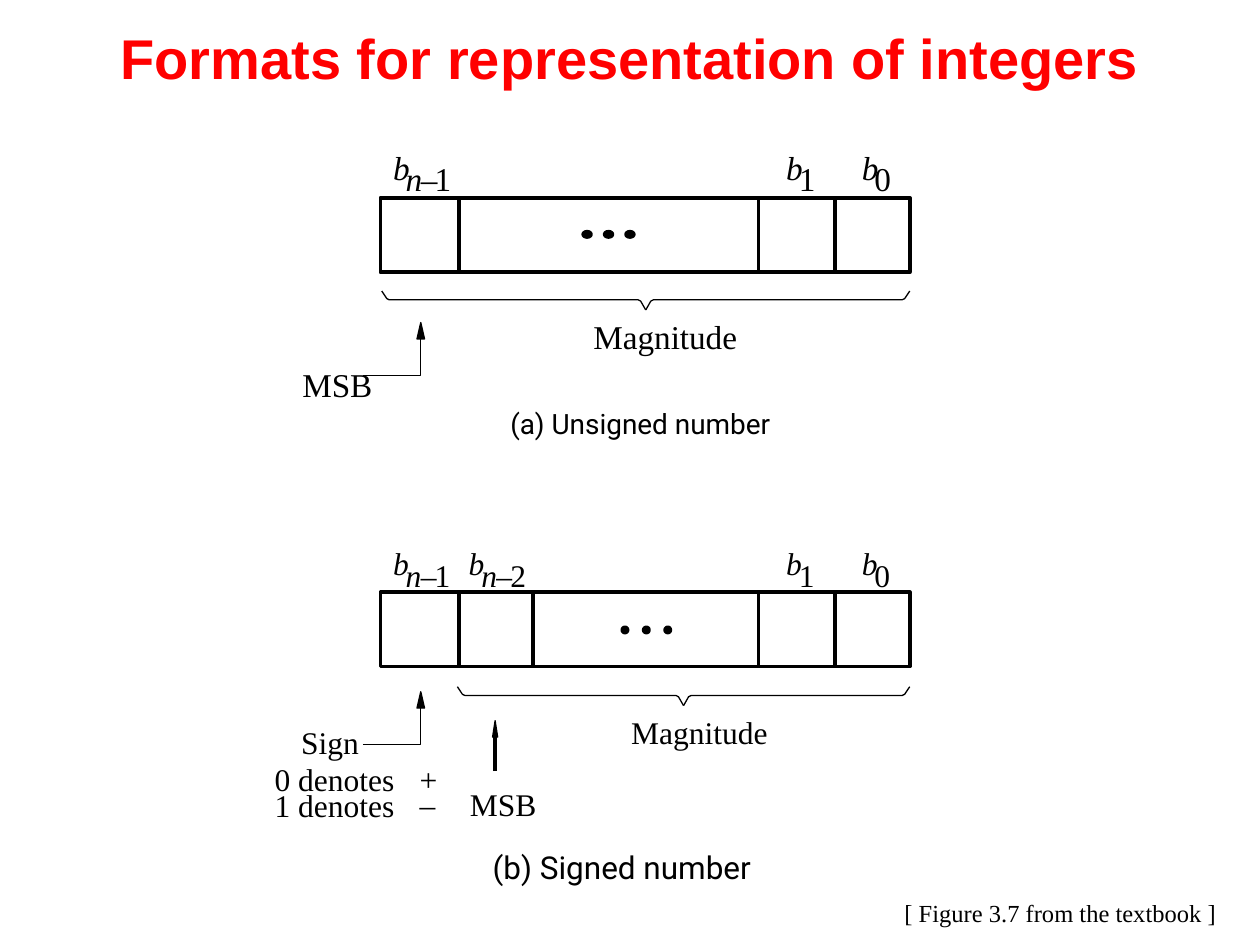
from itertools import pairwise

from lxml import etree
from pptx import Presentation
from pptx.dml.color import RGBColor
from pptx.enum.shapes import MSO_CONNECTOR, MSO_SHAPE
from pptx.enum.text import MSO_ANCHOR, MSO_AUTO_SIZE, PP_ALIGN
from pptx.oxml.ns import qn
from pptx.util import Inches, Pt

RECTANGLE = MSO_SHAPE.RECTANGLE
OVAL = MSO_SHAPE.OVAL
STRAIGHT = MSO_CONNECTOR.STRAIGHT
CENTER = PP_ALIGN.CENTER
MIDDLE = MSO_ANCHOR.MIDDLE
GROW = MSO_AUTO_SIZE.SHAPE_TO_FIT_TEXT
FIXED = MSO_AUTO_SIZE.NONE
BLACK = "000000"
RED = "FF0000"
SERIF = "Times New Roman"
SANS = "Roboto"
MARGINS = ("margin_left", "margin_top", "margin_right", "margin_bottom")


def color(hex_value):
    return RGBColor.from_string(hex_value)


def write(box, text, hex_value=BLACK, **font_values):
    span = box.text_frame.paragraphs[0].add_run()
    span.text = text
    span.font.color.rgb = color(hex_value)
    for name, value in font_values.items():
        setattr(span.font, name, value)


def style(shape, line_width, filled=False):
    shape.shadow.inherit = False
    shape.line.color.rgb = color(BLACK)
    shape.line.width = Pt(line_width)
    if filled:
        shape.fill.solid()
        shape.fill.fore_color.rgb = color(BLACK)
    else:
        shape.fill.background()


def add_title(page, text):
    title = page.shapes.title
    place = {"left": 0, "top": 0.08, "width": 10, "height": 0.75}
    for name, value in place.items():
        setattr(title, name, Inches(value))
    frame = title.text_frame
    frame.auto_size = FIXED
    frame.vertical_anchor = MIDDLE
    frame.paragraphs[0].alignment = CENTER
    write(title, text, RED, size=Pt(32), name="Arial", bold=True)


def add_label(page, text, place, size, font=SERIF, italic=False, margin=0):
    box = page.shapes.add_textbox(*map(Inches, place))
    frame = box.text_frame
    frame.word_wrap = False
    frame.auto_size = GROW
    if margin is not None:
        for name in MARGINS:
            setattr(frame, name, margin)
    write(box, text, size=Pt(size), name=font, italic=italic)


def add_bit_name(page, index, left, top, size):
    height = 0.32 if size == 19 else 0.3
    for step, letter in enumerate("b" + index):
        x = left + (0, 0.1, 0.22, 0.33)[step]
        y = top + (0.09 if step else 0)
        add_label(page, letter, (x, y, 0.13, height), size, italic=letter in "bn")


def add_cells(page, edges, top):
    for left, right in pairwise(edges):
        place = map(Inches, (left, top, right - left, 0.59))
        style(page.shapes.add_shape(RECTANGLE, *place), 2.25)


def add_dots(page, left, top, width):
    for number in range(3):
        place = map(Inches, (left + 0.17 * number, top, width, 0.04))
        style(page.shapes.add_shape(OVAL, *place), 2.25, filled=True)


def add_outline(page, points, closed=False):
    start, *rest = [(Inches(x), Inches(y)) for x, y in points]
    builder = page.shapes.build_freeform(*start)
    builder.add_line_segments(rest, close=closed)
    style(builder.convert_to_shape(), 0, filled=closed)


def add_brace(page, left, right, top):
    middle = (left + right) / 2
    for end, side in ((left, 1), (right, -1)):
        add_outline(page, [
            (end, top),
            (end + side * 0.04, top + 0.06),
            (end + side * 0.06, top + 0.07),
            (middle - side * 0.06, top + 0.07),
            (middle - side * 0.04, top + 0.08),
            (middle, top + 0.15),
        ])


def add_arrowhead(page, x, top, half_width):
    base = top + 0.13
    points = [(x - half_width, base), (x, top), (x + half_width, base)]
    add_outline(page, points, closed=True)


def add_bent_arrow(page, top):
    add_arrowhead(page, 3.34, top, 0.03)
    add_outline(page, [(2.88, top + 0.42), (3.34, top + 0.42), (3.34, top + 0.13)])


def add_straight_arrow(page, x, top, bottom):
    add_arrowhead(page, x, top, 0.02)
    ends = map(Inches, (x, bottom, x, top + 0.13))
    line = page.shapes.add_connector(STRAIGHT, *ends)
    line.line.color.rgb = color(BLACK)
    line.line.width = Pt(0)
    etree.SubElement(line._element.spPr, qn("a:effectLst"))


def add_unsigned_format(page):
    for index, left in (("n–1", 3.12), ("1", 6.24), ("0", 6.84)):
        add_bit_name(page, index, left, 1.17, 19)
    add_cells(page, (3.02, 3.64, 6.02, 6.63, 7.22), 1.57)
    add_dots(page, 4.63, 1.84, 0.06)
    add_brace(page, 3.03, 7.22, 2.31)
    add_bent_arrow(page, 2.56)
    add_label(page, "Magnitude", (4.71, 2.51, 1.15, 0.32), 19)
    add_label(page, "MSB", (2.4, 2.89, 0.56, 0.32), 19)
    add_label(page, "(a) Unsigned number", (4.05, 3.23, 2.11, 0.27), 16, SANS)


def add_signed_format(page):
    names = (("n–1", 3.12), ("n–2", 3.72), ("1", 6.24), ("0", 6.84))
    for index, left in names:
        add_bit_name(page, index, left, 4.32, 18)
    add_cells(page, (3.02, 3.64, 4.23, 6.02, 6.63, 7.22), 4.7)
    add_dots(page, 4.94, 4.98, 0.04)
    add_brace(page, 3.63, 7.22, 5.45)
    add_bent_arrow(page, 5.49)
    add_straight_arrow(page, 3.93, 5.72, 6.12)
    labels = (
        ("Magnitude", 5.01, 5.66, 1.09),
        ("Sign", 2.39, 5.74, 0.46),
        ("0 denotes", 2.18, 6.03, 0.96),
        ("+", 3.33, 6.03, 0.14),
        ("1 denotes", 2.18, 6.24, 0.96),
        ("–", 3.33, 6.23, 0.13),
        ("MSB", 3.73, 6.23, 0.53),
    )
    for text, left, top, width in labels:
        add_label(page, text, (left, top, width, 0.3), 18)
    add_label(page, "(b) Signed number", (3.91, 6.73, 2.09, 0.3), 18, SANS)


def main():
    deck = Presentation()
    deck.slide_width = Inches(10)
    deck.slide_height = Inches(7.5)
    page = deck.slides.add_slide(deck.slide_layouts[5])
    add_title(page, "Formats for representation of integers")
    add_unsigned_format(page)
    add_signed_format(page)
    source_place = (7.08, 7.08, 2.69, 0.34)
    add_label(page, "[ Figure 3.7 from the textbook ]", source_place, 14, margin=None)
    deck.save("out.pptx")


if __name__ == "__main__":
    main()
